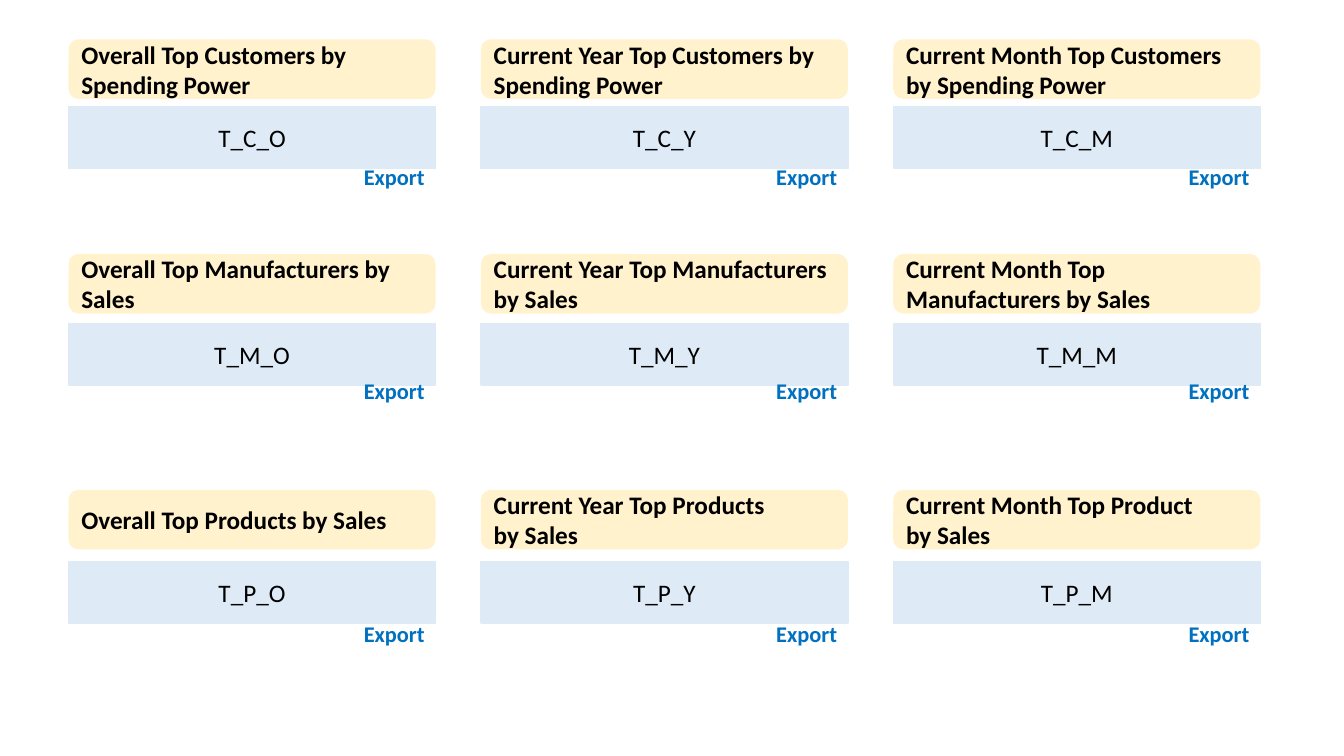
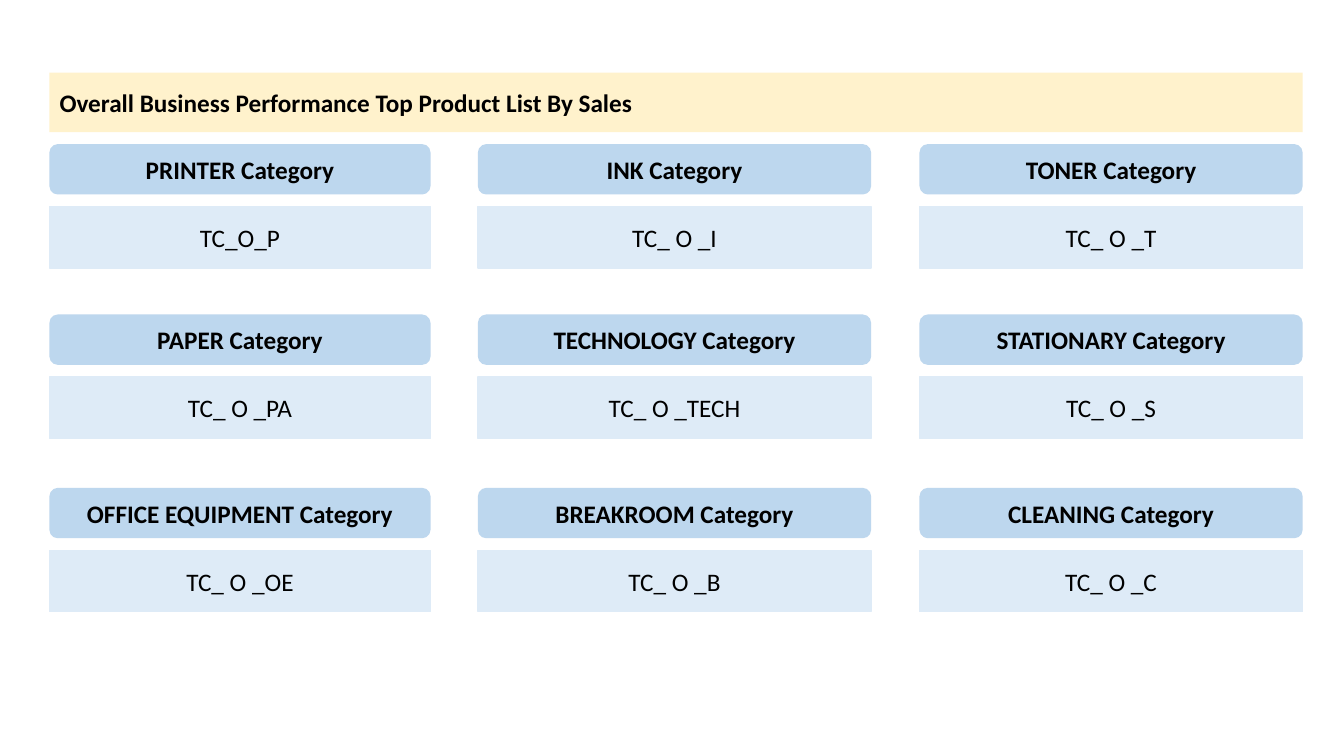
"""Build two slides of report grids: top lists by period and top products by category."""
import pptx
import pptx.util
import pptx.dml.color
import pptx.enum.shapes
import pptx.enum.text
import pptx.oxml

Inches = pptx.util.Inches
Shape = pptx.enum.shapes.MSO_SHAPE
Align = pptx.enum.text.PP_ALIGN
Fit = pptx.enum.text.MSO_AUTO_SIZE
FONT = "Calibri"
COLORS = {"cream": "FFF2CC", "sky": "BDD7EE", "pale": "DEEBF7", "link": "0070C0", "ink": "000000"}
RGB = {name: pptx.dml.color.RGBColor.from_string(code) for name, code in COLORS.items()}
BAND = 0.59
CELL = 0.61


def write(shape, text, size=18, bold=False, color="ink", align=Align.LEFT, wrap=True, fit=Fit.NONE,
          anchor=pptx.enum.text.MSO_ANCHOR.MIDDLE):
    frame = shape.text_frame
    frame.text = text
    frame.word_wrap = wrap
    frame.auto_size = fit
    frame.vertical_anchor = anchor
    for para in frame.paragraphs:
        para.alignment = align
        font = para.runs[0].font
        font.name = FONT
        font.size = pptx.util.Pt(size)
        font.bold = bold
        font.color.rgb = RGB[color]


def add_box(slide, kind, place, fill, text, **style):
    box = slide.shapes.add_shape(kind, *map(Inches, place))
    box.shadow.inherit = False
    box.fill.solid()
    box.fill.fore_color.rgb = RGB[fill]
    if kind == Shape.RECTANGLE:
        box.line.color.rgb = RGB[fill]
        box.line.width = pptx.util.Pt(1)
    else:
        box.line.fill.background()
    write(box, text, **style)


deck = pptx.Presentation()
deck.slide_width = Inches(13.33)
deck.slide_height = Inches(7.5)

slide = deck.slides.add_slide(deck.slide_layouts[6])
left, width, pitch = 0.68, 3.64, 4.09
rows = [
    (0.39, 1.06, 1.57, [
        ("Overall Top Customers by Spending Power", "T_C_O"),
        ("Current Year Top Customers by Spending Power", "T_C_Y"),
        ("Current Month Top Customers by Spending Power", "T_C_M")]),
    (2.52, 3.21, 3.69, [
        ("Overall Top Manufacturers by Sales", "T_M_O"),
        ("Current Year Top Manufacturers by Sales", "T_M_Y"),
        ("Current Month Top Manufacturers by Sales", "T_M_M")]),
    (4.86, 5.57, 6.1, [
        ("Overall Top Products by Sales", "T_P_O"),
        ("Current Year Top Products\nby Sales", "T_P_Y"),
        ("Current Month Top Product\nby Sales", "T_P_M")]),
]
link_width = 0.81
for head_top, cell_top, link_top, lists in rows:
    for col, (head, code) in enumerate(lists):
        x = left + col * pitch
        add_box(slide, Shape.ROUNDED_RECTANGLE, (x, head_top, width, BAND), "cream", head, bold=True)
        add_box(slide, Shape.RECTANGLE, (x, cell_top, width, CELL), "pale", code, align=Align.CENTER)
        link = slide.shapes.add_textbox(Inches(x + width - link_width), Inches(link_top),
                                        Inches(link_width), Inches(0.37))
        write(link, "Export", size=16, bold=True, color="link", wrap=False,
              fit=Fit.SHAPE_TO_FIT_TEXT, anchor=pptx.enum.text.MSO_ANCHOR.TOP)

slide = deck.slides.add_slide(deck.slide_layouts[5])
title = slide.shapes.title
title.left, title.top, title.width, title.height = map(Inches, (0.49, 0.72, 12.43, BAND))
title.element.spPr.append(pptx.oxml.parse_xml(
    '<a:prstGeom xmlns:a="http://schemas.openxmlformats.org/drawingml/2006/main" prst="roundRect"><a:avLst/></a:prstGeom>'))
title.fill.solid()
title.fill.fore_color.rgb = RGB["cream"]
write(title, "Overall Business Performance Top Product List By Sales", bold=True)

cols = [(0.49, 3.78), (4.74, 3.9), (9.12, 3.8)]
groups = [
    (1.43, [("PRINTER", "TC_O_P"), ("INK", "TC_ O _I"), ("TONER", "TC_ O _T")]),
    (3.12, [("PAPER", "TC_ O _PA"), ("TECHNOLOGY", "TC_ O _TECH"), ("STATIONARY", "TC_ O _S")]),
    (4.84, [("OFFICE EQUIPMENT", "TC_ O _OE"), ("BREAKROOM", "TC_ O _B"), ("CLEANING", "TC_ O _C")]),
]
for top, lists in groups:
    for (x, width), (name, code) in zip(cols, lists):
        add_box(slide, Shape.ROUNDED_RECTANGLE, (x, top, width, 0.5), "sky", f"{name} Category",
                bold=True, align=Align.CENTER)
        add_box(slide, Shape.RECTANGLE, (x, top + 0.62, width, CELL), "pale", code, align=Align.CENTER)

deck.save("out.pptx")
